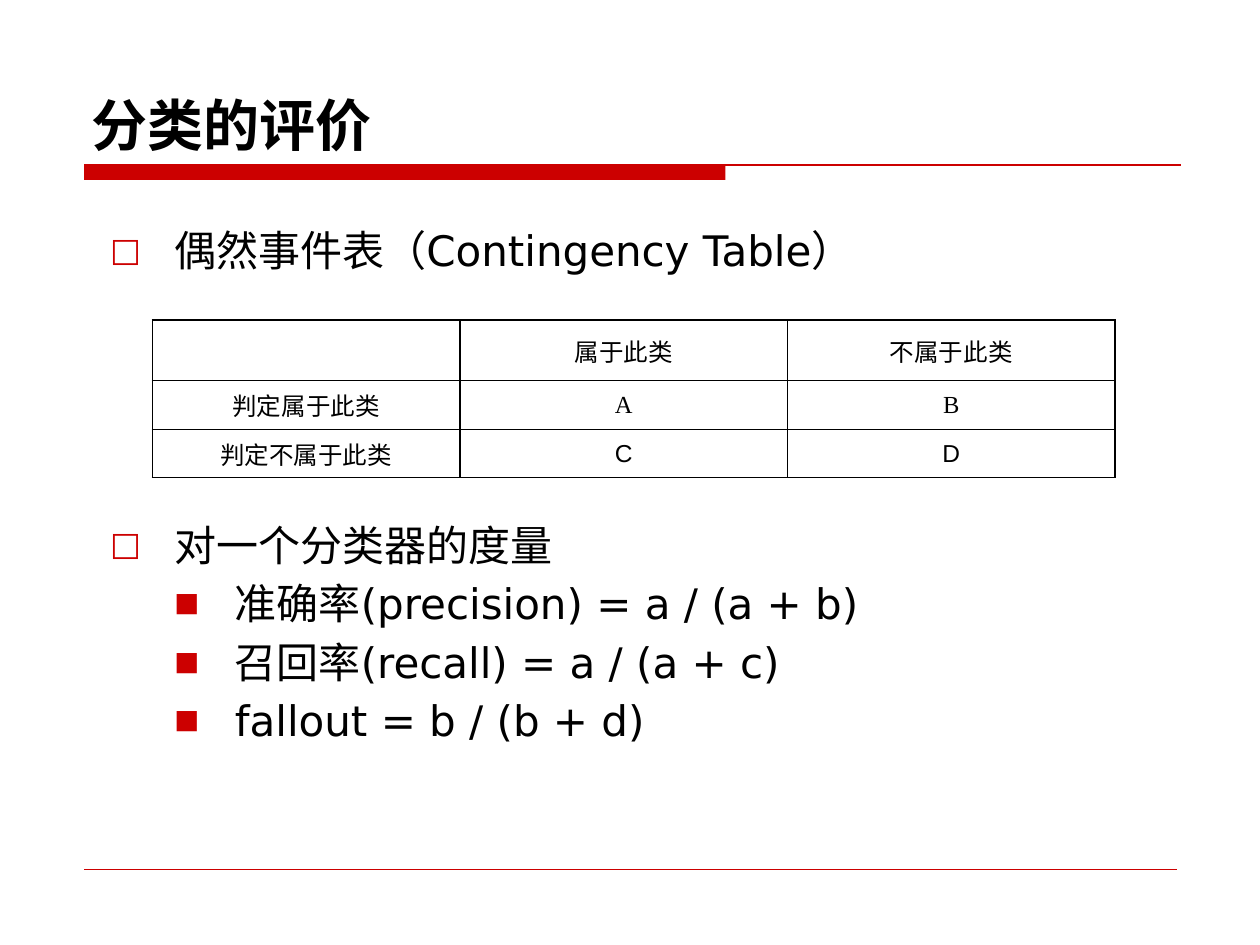
from typing import NamedTuple

from lxml import etree
from pptx import Presentation
from pptx.dml.color import RGBColor
from pptx.enum.shapes import MSO_CONNECTOR, MSO_SHAPE
from pptx.enum.text import MSO_ANCHOR, PP_ALIGN
from pptx.oxml.ns import qn
from pptx.util import Emu, Inches, Pt

LINE, RECT = MSO_CONNECTOR.STRAIGHT, MSO_SHAPE.RECTANGLE
CENTER = PP_ALIGN.CENTER
TOP, MIDDLE, BOTTOM = MSO_ANCHOR.TOP, MSO_ANCHOR.MIDDLE, MSO_ANCHOR.BOTTOM
WIDE, HIGH = Inches(10), Inches(7.5)
HEX = {"red": "CC0000", "ink": "000000", "paper": "FFFFFF"}
SANS, SERIF, ARIAL = "DejaVu Sans", "Times New Roman", "Arial"


class Box(NamedTuple):
    """A place given in percent of the slide's size."""
    x: float
    y: float
    w: float
    h: float

    def emu(self) -> tuple:
        return (Emu(int(self.x * WIDE / 100)), Emu(int(self.y * HIGH / 100)),
                Emu(int(self.w * WIDE / 100)), Emu(int(self.h * HIGH / 100)))


class Level(NamedTuple):
    mark: str
    size: int      # percent of the text size
    left: float    # inches
    hang: float


class Item(NamedTuple):
    text: str
    level: Level
    gap: float = 4.6


MAIN = Level("□", 78, 0.51, 0.53)
SUB = Level("■", 63, 0.99, 0.48)
ITEMS = [
    Item("偶然事件表（Contingency Table）", MAIN),
    Item("对一个分类器的度量", MAIN, 139.6),  # leaves room for the table
    Item("准确率(precision) = a / (a + b)", SUB),
    Item("召回率(recall) = a / (a + c)", SUB),
    Item("fallout = b / (b + d)", SUB),
]
ROWS = [
    ("", "属于此类", "不属于此类"),
    ("判定属于此类", "A", "B"),
    ("判定不属于此类", "C", "D"),
]
COLS = (2.44, 2.6, 2.6)
TALL = (0.48, 0.39, 0.38)


def tint(name: str) -> RGBColor:
    return RGBColor.from_string(HEX[name])


def style(font, face: str, size: float, bold: bool = False) -> None:
    font.name, font.size, font.bold = face, Pt(size), bold
    font.color.rgb = tint("ink")


def add(parent, tag: str, **attrs: str):
    return etree.SubElement(parent, qn(tag), attrs)


def rule(slide, x: float, y: float, end: float, width: float) -> None:
    left, top, span, _ = Box(x, y, end - x, 0).emu()
    line = slide.shapes.add_connector(LINE, left, top, left + span, top)
    line.line.color.rgb, line.line.width = tint("red"), Pt(width)
    add(line._element.spPr, "a:effectLst")


def frame(slide, box: Box, anchor):
    text = slide.shapes.add_textbox(*box.emu()).text_frame
    text.word_wrap, text.vertical_anchor = True, anchor
    return text


def bullet(par, item: Item) -> None:
    par.text = item.text
    par.space_before = Pt(item.gap)
    style(par.runs[0].font, SANS, 24)
    level, props = item.level, par._p.get_or_add_pPr()
    props.set("marL", str(Inches(level.left)))
    props.set("indent", str(-Inches(level.hang)))
    add(add(props, "a:buClr"), "a:srgbClr", val=HEX["red"])
    add(props, "a:buSzPct", val=str(level.size * 1000))
    add(props, "a:buFont", typeface=SANS)
    add(props, "a:buChar", char=level.mark)


def fill(cell, text: str, face: str) -> None:
    cell.text, cell.vertical_anchor = text, MIDDLE
    par = cell.text_frame.paragraphs[0]
    par.alignment = CENTER
    style(par.font, face, 14)
    for run in par.runs:
        style(run.font, face, 14)
    props = cell._tc.get_or_add_tcPr()
    for side in "LRTB":
        edge = add(props, f"a:ln{side}", w=str(Pt(1)))
        add(add(edge, "a:solidFill"), "a:srgbClr", val=HEX["ink"])
    cell.fill.solid()
    cell.fill.fore_color.rgb = tint("paper")


def grid(slide, x: float, y: float) -> None:
    table = slide.shapes.add_table(
        len(ROWS), len(COLS), Inches(x), Inches(y),
        Inches(sum(COLS)), Inches(sum(TALL))).table
    table.first_row = table.horz_banding = False
    for col, width in zip(table.columns, COLS):
        col.width = Inches(width)
    for r, (row, height) in enumerate(zip(ROWS, TALL)):
        table.rows[r].height = Inches(height)
        for c, text in enumerate(row):
            fill(table.cell(r, c), text, ARIAL if text in ("C", "D") else SERIF)


def main() -> None:
    deck = Presentation()
    deck.slide_width, deck.slide_height = WIDE, HIGH
    slide = deck.slides.add_slide(deck.slide_layouts[6])

    # Title bar and footer rule
    bar = slide.shapes.add_shape(RECT, *Box(6.67, 17.45, 50.9, 1.6).emu())
    bar.shadow.inherit = False
    bar.fill.solid()
    bar.fill.fore_color.rgb = tint("red")
    bar.line.fill.background()
    rule(slide, 6.67, 17.45, 93.7, 1.15)
    rule(slide, 6.67, 92, 93.4, 0.25)

    # Title
    title = frame(slide, Box(6.3, 0, 87.5, 17.3), BOTTOM).paragraphs[0]
    title.text = "分类的评价"
    style(title.runs[0].font, SANS, 32, True)

    # Bullets
    body = frame(slide, Box(7.75, 23.1, 81.2, 65.6), TOP)
    for i, item in enumerate(ITEMS):
        bullet(body.add_paragraph() if i else body.paragraphs[0], item)

    # Contingency table
    grid(slide, 1.21, 2.54)
    deck.save("out.pptx")


if __name__ == "__main__":
    main()
